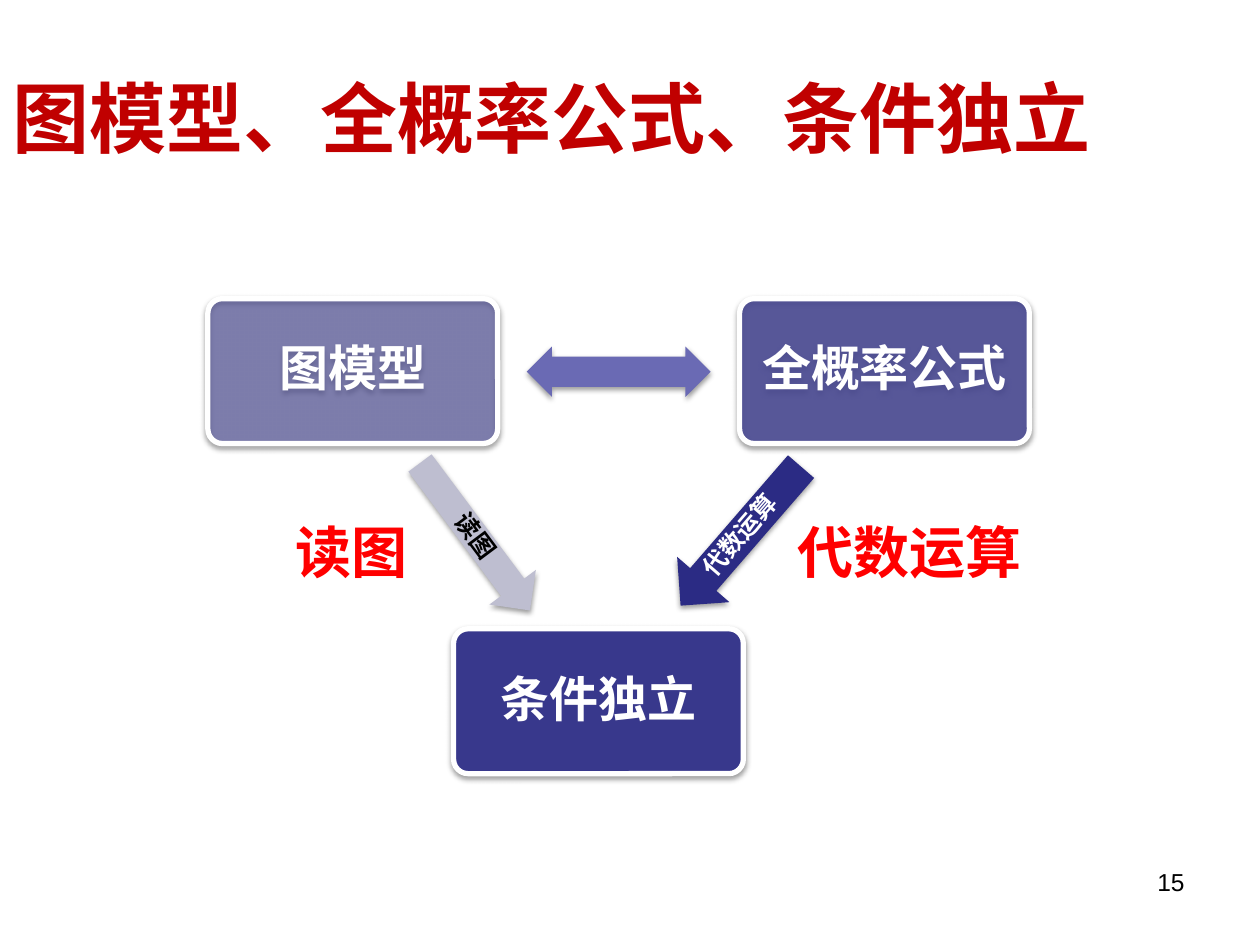
from lxml import etree
from pptx import Presentation, util as u
from pptx.dml.color import RGBColor
from pptx.enum import shapes, text
from pptx.oxml import ns

HUES = {
    "title": "C00000", "note": "FF0000", "node": "2D2D8A", "link": "6A6AB4",
    "read": "BEBED0", "solve": "2B2B84", "white": "FFFFFF", "black": "000000",
}
HAN = "Noto Sans CJK JP"
COLS, ROWS = 100, 75
KIND = shapes.MSO_SHAPE
SIDE = text.PP_ALIGN
MID = text.MSO_ANCHOR.MIDDLE


def add(parent, tag, **attrs):
    return etree.SubElement(parent, ns.qn(tag), {k: str(v) for k, v in attrs.items()})


class Deck:
    """Holds the style and the current slide; lengths are grid columns and rows."""

    def __init__(self):
        self.prs = Presentation()
        self.prs.slide_width, self.prs.slide_height = u.Inches(10), u.Inches(7.5)
        self.slide = self.prs.slides.add_slide(self.prs.slide_layouts[6])

    def place(self, x, y, w, h):
        col, row = self.prs.slide_width / COLS, self.prs.slide_height / ROWS
        return [round(n) for n in (x * col, y * row, w * col, h * row)]

    def letter(self, shape, words, size, hue, bold=True, font=HAN,
               align=SIDE.CENTER, anchor=MID, inset=None, lead=None, wrap=True):
        """Puts one styled line of words into the shape."""
        frame = shape.text_frame
        frame.word_wrap, frame.vertical_anchor = wrap, anchor
        if inset is not None:
            frame.margin_left = frame.margin_right = u.Inches(inset)
            frame.margin_top = frame.margin_bottom = u.Inches(inset)
        para = frame.paragraphs[0]
        para.alignment, para.line_spacing = align, lead
        run = para.add_run()
        run.text = words
        run.font.name, run.font.size, run.font.bold = font, u.Pt(size), bold
        run.font.color.rgb = RGBColor.from_string(HUES[hue])
        add(run.font._element, "a:ea", typeface=HAN)

    def label(self, box, words, size, hue, turn=0, **style):
        shape = self.slide.shapes.add_textbox(*self.place(*box))
        shape.rotation = turn
        self.letter(shape, words, size, hue, **style)

    def shade(self, shape):
        """Gives the shape a soft shadow straight below it."""
        shape.shadow.inherit = False
        glow = add(shape._element.spPr.find(ns.qn("a:effectLst")), "a:outerShdw",
                   blurRad=u.Pt(3.1), dist=u.Pt(1.6), dir=90 * 60000,
                   rotWithShape=0)
        tone = add(glow, "a:srgbClr", val=HUES["black"])
        add(tone, "a:alpha", val=38000)

    def form(self, kind, box, hue, turn=0, adj=()):
        shape = self.slide.shapes.add_shape(kind, *self.place(*box))
        for i, share in enumerate(adj):
            shape.adjustments[i] = share
        shape.rotation = turn
        shape.fill.solid()
        shape.fill.fore_color.rgb = RGBColor.from_string(HUES[hue])
        shape.line.fill.background()
        self.shade(shape)
        return shape

    def node(self, x, y, words, alpha):
        shape = self.form(KIND.ROUNDED_RECTANGLE, (x, y, 23, 11.5), "node", adj=[0.1])
        tone = shape._element.spPr.find(".//" + ns.qn("a:srgbClr"))
        add(tone, "a:alpha", val=alpha * 1000)
        shape.line.color.rgb = RGBColor.from_string(HUES["white"])
        shape.line.width = u.Pt(3)
        self.letter(shape, words, 28, "white", inset=0.12, lead=0.9)

    def arrow(self, kind, mid, high, hue, turn, words, ink):
        """Draws a turned arrow about its middle, with its words along the shaft."""
        x, y = mid
        long = 14.6
        self.form(kind, (x - long / 2, y - high / 2, long, high), hue, turn)
        self.label((x - 6, y - 1.5, 12, 3), words, 14, ink, turn, inset=0, lead=0.9)

    def note(self, x, wide, words):
        self.label((x, 40.6, wide, 6.4), words, 32, "note",
                   anchor=text.MSO_ANCHOR.TOP, wrap=False)


def main():
    deck = Deck()
    deck.label((0, 3, 98, 12.5), "图模型、全概率公式、条件独立", 44, "title",
               font="Times New Roman", align=SIDE.LEFT)
    deck.label((71.7, 68.3, 23.3, 5.2), "15", 14, "black", bold=False, font="Arial",
               align=SIDE.RIGHT, anchor=text.MSO_ANCHOR.TOP)

    deck.node(36, 49.9, "条件独立", 90)
    deck.arrow(KIND.LEFT_ARROW, (58.8, 42.55), 5.5, "solve", 310.9, "代数运算", "white")
    deck.node(58.7, 23.7, "全概率公式", 70)
    deck.form(KIND.LEFT_RIGHT_ARROW, (41.8, 27.5, 14.6, 4), "link", 180, [0.6, 0.5])
    deck.node(16.5, 23.7, "图模型", 50)
    deck.arrow(KIND.RIGHT_ARROW, (37.7, 42.6), 4.6, "read", 53.3, "读图", "black")

    deck.note(22.4, 11, "读图")
    deck.note(62.2, 20, "代数运算")
    deck.prs.save("out.pptx")


if __name__ == "__main__":
    main()
